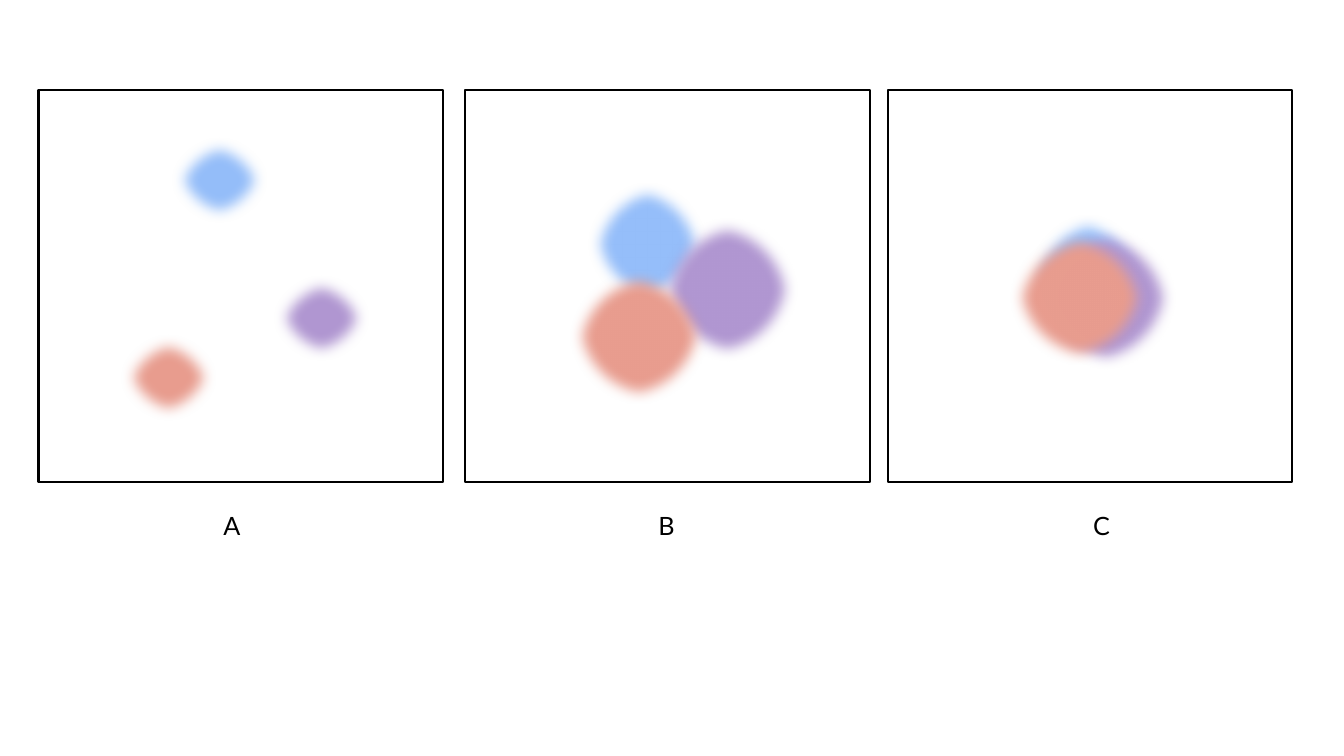
"""Builds a slide with three panels of soft blobs that draw closer and overlap."""
from lxml import etree
from pptx import Presentation
from pptx.dml.color import RGBColor
from pptx.enum.shapes import MSO_SHAPE
from pptx.enum.text import MSO_AUTO_SIZE
from pptx.oxml.ns import qn
from pptx.util import Cm, Pt

OVAL, RECT = MSO_SHAPE.OVAL, MSO_SHAPE.RECTANGLE
FIT_SHAPE = MSO_AUTO_SIZE.SHAPE_TO_FIT_TEXT

BLOB_COLORS = ["95BEFA", "B197D2", "E99D8F"]
SMALL = [(2.57, 2.31)] * 3
LARGE = [(3.12, 3.25), (3.61, 3.71), (3.61, 3.53)]
PANEL_TOP, PANEL_W, PANEL_H = 2.26, 10.19, 9.88
PANELS = [
    ("A", 0.97, SMALL, [(3.28, 1.12), (5.84, 4.6), (1.98, 6.1)]),
    ("B", 11.73, LARGE, [(3.02, 2.26), (4.8, 3.18), (2.57, 4.45)]),
    ("C", 22.38, LARGE, [(3.48, 3.07), (3.68, 3.4), (3.02, 3.48)]),
]
LABEL_BOX = (5.38, 12.73, 26.57, 1.02)
LABEL_STEP = 10.96
SOFT_RADIUS = Pt(10)


def rgb(color):
    return RGBColor.from_string(color)


def add_blob(s, x, y, w, h, color):
    sp = s.shapes.add_shape(OVAL, Cm(x), Cm(y), Cm(w), Cm(h))
    sp.shadow.inherit = False
    sp.fill.solid()
    sp.fill.fore_color.rgb = rgb(color)
    sp.line.fill.background()
    effects = sp._element.spPr.find(qn("a:effectLst"))
    etree.SubElement(effects, qn("a:softEdge"), rad=str(SOFT_RADIUS))


def add_frame(s, x):
    sp = s.shapes.add_shape(RECT, Cm(x), Cm(PANEL_TOP), Cm(PANEL_W), Cm(PANEL_H))
    sp.shadow.inherit = False
    sp.fill.background()
    sp.line.color.rgb = rgb("000000")
    sp.line.width = Pt(1.5)


def add_labels(s, labels):
    tf = s.shapes.add_textbox(*map(Cm, LABEL_BOX)).text_frame
    tf.word_wrap = True
    tf.auto_size = FIT_SHAPE
    p = tf.paragraphs[0]
    p.text = "\t".join(labels)
    tabs = etree.SubElement(p._p.get_or_add_pPr(), qn("a:tabLst"))
    for i in range(1, len(labels)):
        etree.SubElement(tabs, qn("a:tab"), pos=str(Cm(i * LABEL_STEP)), algn="l")
    for r in p.runs:
        r.font.name = "Lato"
        r.font.size = Pt(18)
        r.font.color.rgb = rgb("000000")


def main():
    prs = Presentation()
    prs.slide_width, prs.slide_height = Cm(33.87), Cm(19.05)
    s = prs.slides.add_slide(prs.slide_layouts[6])
    s.background.fill.solid()
    s.background.fill.fore_color.rgb = rgb("FFFFFF")
    for _, left, sizes, offsets in PANELS:
        for (w, h), (dx, dy), color in zip(sizes, offsets, BLOB_COLORS):
            add_blob(s, left + dx, PANEL_TOP + dy, w, h, color)
        add_frame(s, left)
    add_labels(s, [panel[0] for panel in PANELS])
    prs.save("out.pptx")


if __name__ == "__main__":
    main()
